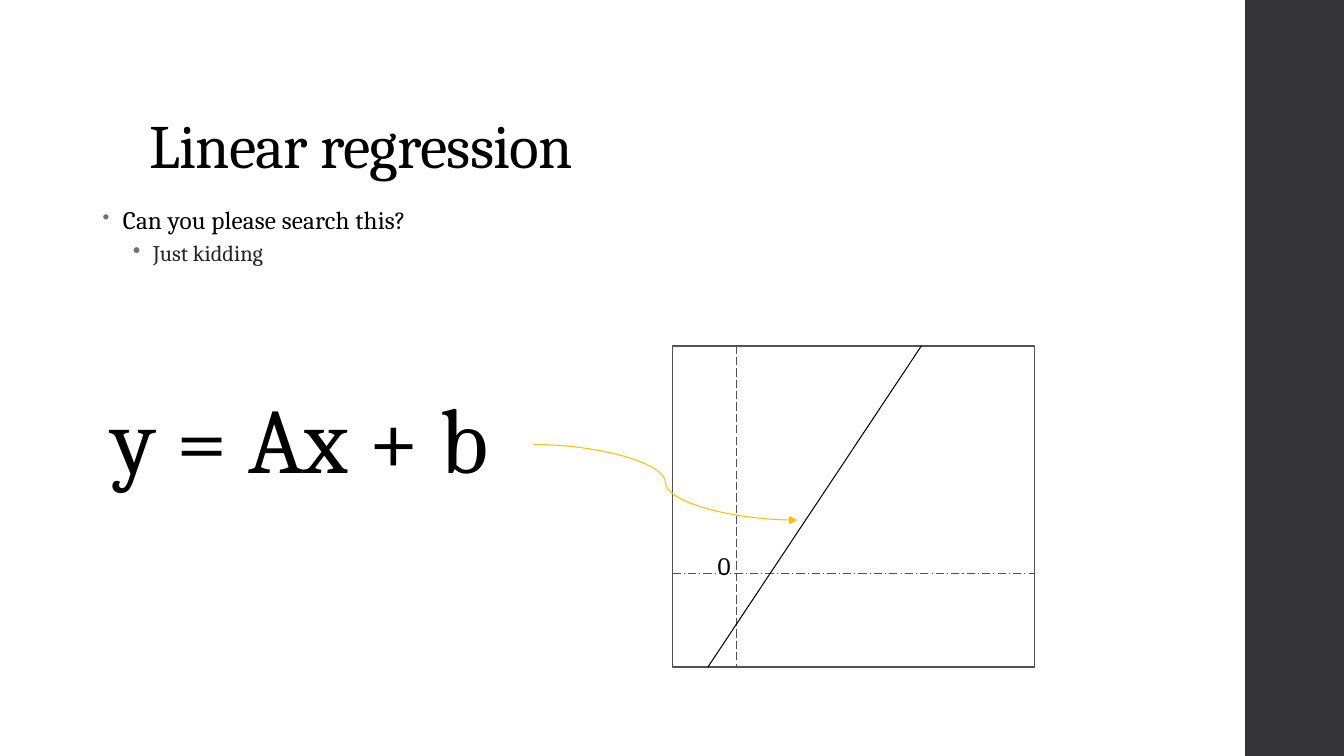
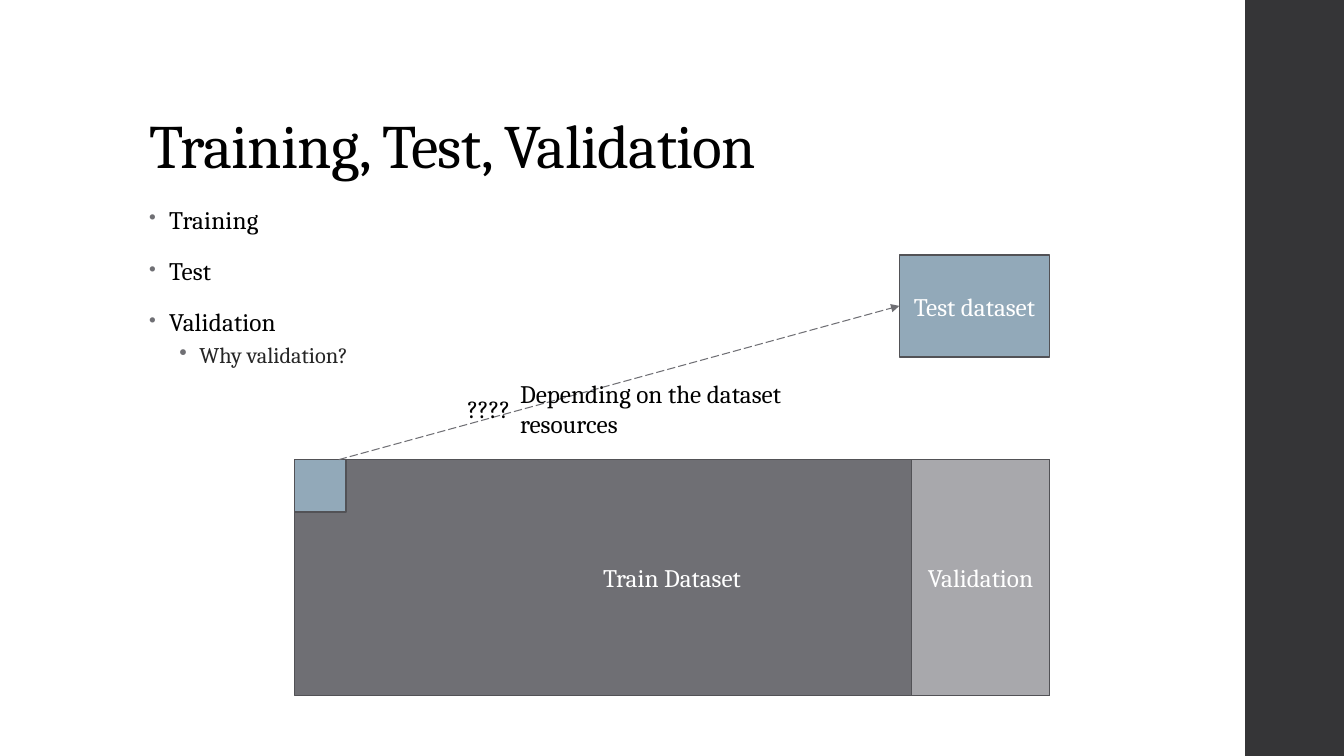
from lxml.etree import SubElement
from pptx import Presentation
from pptx.dml.color import RGBColor
from pptx.enum.dml import MSO_LINE
from pptx.enum.shapes import MSO_CONNECTOR, MSO_SHAPE
from pptx.enum.text import MSO_ANCHOR, PP_ALIGN
from pptx.oxml.ns import qn
from pptx.util import Inches, Pt

FONT = "Cambria"
BLACK = RGBColor(0x00, 0x00, 0x00)
WHITE = RGBColor(0xFF, 0xFF, 0xFF)
BAND = RGBColor(0x35, 0x35, 0x37)
CHARCOAL = RGBColor(0x26, 0x26, 0x26)
OUTLINE = RGBColor(0x52, 0x52, 0x56)
GREY = RGBColor(0x6F, 0x6F, 0x74)
LIGHT_GREY = RGBColor(0xA8, 0xA8, 0xAC)
BLUE = RGBColor(0x92, 0xA9, 0xB9)
AMBER = RGBColor(0xFF, 0xC0, 0x00)

TITLE_FORMAT = {"line_spacing": 0.9}
LEVELS = [
    {"format": {"line_spacing": 0.95, "space_before": Pt(14), "space_after": Pt(2)},
     "indent": 0.2, "bullet_size": 80, "size": 18, "color": BLACK, "tracking": 0.1},
    {"format": {"level": 1, "line_spacing": 0.9, "space_before": Pt(3), "space_after": Pt(3)},
     "indent": 0.5, "bullet_size": 100, "size": 16, "color": CHARCOAL, "tracking": 0},
]


def apply_format(target, values):
    for name, value in values.items():
        setattr(target, name, value)


def add_run(paragraph, text, size=18, color=BLACK, tracking=0):
    """Add text to the paragraph; tracking is the letter spacing in points."""
    run = paragraph.add_run()
    run.text = text
    apply_format(run.font, {"name": FONT, "size": Pt(size)})
    run.font.color.rgb = color
    if tracking:
        run.font._element.set("spc", str(round(tracking * 100)))


def add_text_box(slide, left, top, width, height, wrap=True, anchor=MSO_ANCHOR.TOP):
    box = slide.shapes.add_textbox(Inches(left), Inches(top), Inches(width), Inches(height))
    apply_format(box.text_frame, {"word_wrap": wrap, "vertical_anchor": anchor})
    return box.text_frame


def add_label(slide, text, left, top, width, height, size=18, wrap=False,
              alignment=PP_ALIGN.LEFT):
    paragraph = add_text_box(slide, left, top, width, height, wrap).paragraphs[0]
    paragraph.alignment = alignment
    add_run(paragraph, text, size)


def add_bullet(paragraph, indent, size):
    properties = paragraph._p.get_or_add_pPr()
    properties.set("marL", str(Inches(indent)))
    properties.set("indent", str(Inches(-0.2)))
    color = SubElement(properties, qn("a:buClr"))
    SubElement(color, qn("a:srgbClr"), val=str(GREY))
    SubElement(properties, qn("a:buSzPct"), val=str(size * 1000))
    SubElement(properties, qn("a:buChar"), char="•")


def add_bullet_list(slide, left, top, width, height, items):
    """Add (level, text) items as a bulleted list."""
    frame = add_text_box(slide, left, top, width, height)
    for index, (level, text) in enumerate(items):
        paragraph = frame.add_paragraph() if index else frame.paragraphs[0]
        style = LEVELS[level]
        add_bullet(paragraph, style["indent"], style["bullet_size"])
        apply_format(paragraph, style["format"])
        if index == 0:
            paragraph.space_before = Pt(0)
        add_run(paragraph, text, style["size"], style["color"], style["tracking"])


def add_rectangle(slide, left, top, width, height, fill=None, outline=OUTLINE, text=""):
    shape = slide.shapes.add_shape(MSO_SHAPE.RECTANGLE, Inches(left), Inches(top),
                                   Inches(width), Inches(height))
    shape.shadow.inherit = False
    if fill is None:
        shape.fill.background()
    else:
        shape.fill.solid()
        shape.fill.fore_color.rgb = fill
    if outline is None:
        shape.line.fill.background()
    else:
        shape.line.color.rgb = outline
        shape.line.width = Pt(1.1)
    if text:
        shape.text_frame.vertical_anchor = MSO_ANCHOR.MIDDLE
        paragraph = shape.text_frame.paragraphs[0]
        paragraph.alignment = PP_ALIGN.CENTER
        add_run(paragraph, text, color=WHITE)
    return shape


def add_line(slide, start, end, color, dash=None, arrow=False, kind=MSO_CONNECTOR.STRAIGHT):
    points = [Inches(value) for value in (*start, *end)]
    connector = slide.shapes.add_connector(kind, *points)
    apply_format(connector.line, {"width": Pt(0.75), "dash_style": dash})
    connector.line.color.rgb = color
    if arrow:
        SubElement(connector.line._get_or_add_ln(), qn("a:tailEnd"), type="triangle")
    SubElement(connector._element.spPr, qn("a:effectLst"))
    return connector


def add_base_slide(presentation, title):
    """Add a slide with the side band and title that all slides share."""
    slide = presentation.slides.add_slide(presentation.slide_layouts[6])
    add_rectangle(slide, 12.35, 0, 0.98, 7.5, BAND, outline=None)
    frame = add_text_box(slide, 1.38, 0.4, 10.6, 1.45, anchor=MSO_ANCHOR.BOTTOM)
    apply_format(frame.paragraphs[0], TITLE_FORMAT)
    add_run(frame.paragraphs[0], title, size=44, tracking=-0.5)
    return slide


def add_regression_slide(presentation):
    slide = add_base_slide(presentation, "Linear regression")
    add_bullet_list(slide, 0.92, 2, 11.4, 0.99,
                    [(0, "Can you please search this?"), (1, "Just kidding")])
    add_label(slide, "y = Ax + b", 0.52, 3.73, 4.91, 1.21, size=66, wrap=True,
              alignment=PP_ALIGN.CENTER)

    left, top, width, height = 6.67, 3.43, 3.59, 3.19
    right, bottom = left + width, top + height
    origin_x, origin_y = 7.3, 5.69
    add_rectangle(slide, left, top, width, height)
    add_line(slide, (left, origin_y), (right, origin_y), OUTLINE, MSO_LINE.LONG_DASH_DOT)
    add_line(slide, (origin_x, top), (origin_x, bottom), OUTLINE, MSO_LINE.LONG_DASH)
    add_label(slide, "0", 7.02, 5.41, 0.21, 0.4)
    add_line(slide, (7.02, bottom), (9.14, top), BLACK)
    add_line(slide, (5.29, 4.41), (7.91, 5.16), AMBER, arrow=True, kind=MSO_CONNECTOR.CURVE)


def add_datasets_slide(presentation):
    slide = add_base_slide(presentation, "Training, Test, Validation")
    add_bullet_list(slide, 1.38, 2, 9.4, 4.76,
                    [(0, "Training"), (0, "Test"), (0, "Validation"), (1, "Why validation?")])

    left, top, right, height = 2.92, 4.56, 10.41, 2.34
    validation_width, test_width = 1.37, 1.49
    add_rectangle(slide, left, top, right - left, height, GREY, text="Train Dataset")
    add_rectangle(slide, right - validation_width, top, validation_width, height, LIGHT_GREY,
                  text="Validation")
    test = add_rectangle(slide, right - test_width, 2.53, test_width, 1.01, BLUE,
                         text="Test dataset")
    add_rectangle(slide, left, top, 0.51, 0.52, BLUE)
    arrow = add_line(slide, (3.36, top), (right - test_width, 3.04), GREY,
                     MSO_LINE.LONG_DASH, arrow=True)
    arrow.end_connect(test, 1)
    add_label(slide, "????", 4.54, 3.85, 0.83, 0.4)
    add_label(slide, "Depending on the dataset resources", 5.06, 3.7, 3, 0.71, wrap=True)


def main():
    presentation = Presentation()
    presentation.slide_width = Inches(13.33)
    presentation.slide_height = Inches(7.5)
    add_regression_slide(presentation)
    add_datasets_slide(presentation)
    presentation.save("out.pptx")


if __name__ == "__main__":
    main()
